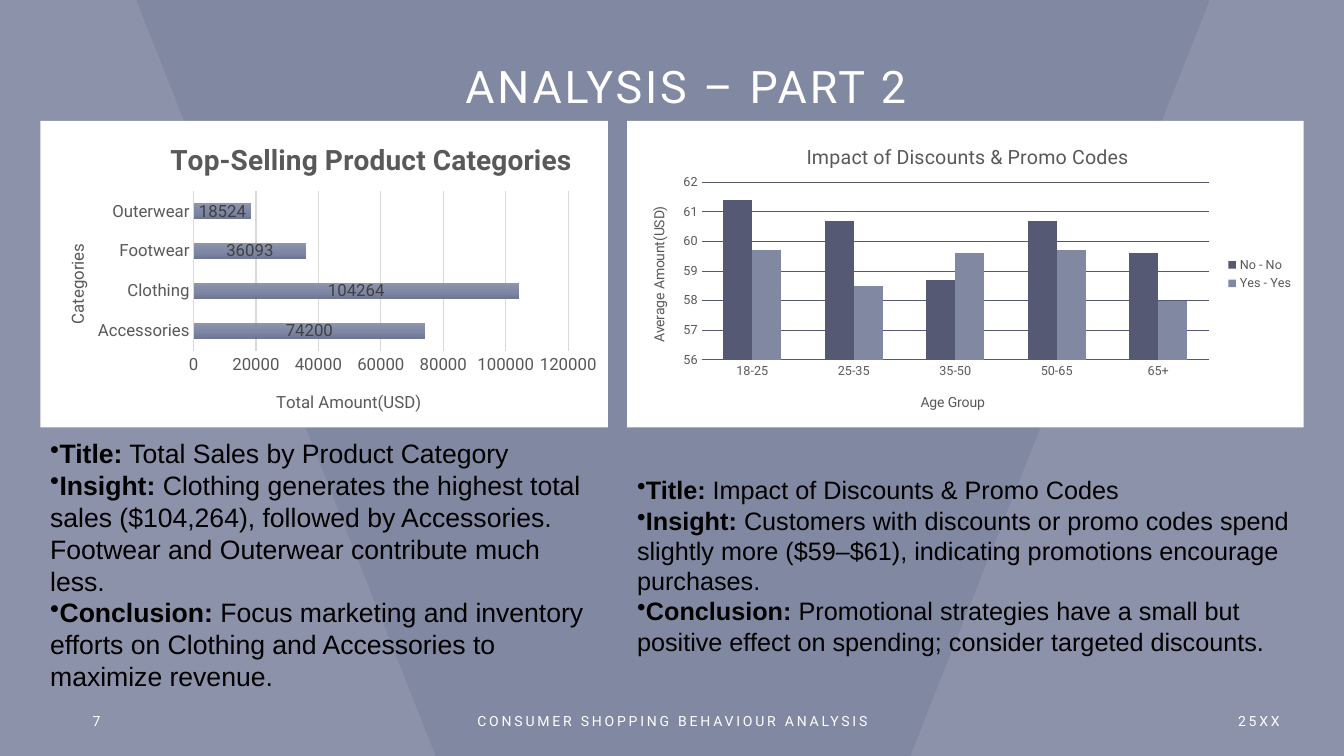
from lxml.etree import fromstring
from pptx import Presentation
from pptx.chart.data import CategoryChartData as Data
from pptx.dml.color import RGBColor as RGB
from pptx.enum.chart import XL_CHART_TYPE as Kind
from pptx.enum.chart import XL_LABEL_POSITION as Spot
from pptx.enum.chart import XL_LEGEND_POSITION as Side
from pptx.enum.chart import XL_TICK_MARK as Tick
from pptx.enum.text import MSO_ANCHOR as Anchor
from pptx.enum.text import MSO_AUTO_SIZE as Auto
from pptx.enum.text import PP_ALIGN as Align
from pptx.oxml.ns import qn
from pptx.util import Inches, Pt

HUES = {"base": "8189A2", "pale": "E6E7EC", "white": "FFFFFF", "black": "000000",
        "gray": "595959", "dark": "404040", "rule": "D9D9D9", "navy": "555973"}
SHADE = ((0, "8F96AC"), (50, "7F88A4"), (100, "6F7893"))
NS = ('xmlns:a="http://schemas.openxmlformats.org/drawingml/2006/main" '
      'xmlns:c="http://schemas.openxmlformats.org/drawingml/2006/chart"')


def hue(name):
    """Give the named colour."""
    return RGB.from_string(HUES[name])


def place(spot, inner=False):
    """Make a chart layout from fractions of the chart's size."""
    tags = '<c:layoutTarget val="inner"/>' if inner else ""
    tags += '<c:xMode val="edge"/><c:yMode val="edge"/>'
    tags += "".join(f'<c:{tag} val="{val}"/>' for tag, val in zip("xywh", spot))
    return fromstring(f"<c:layout {NS}><c:manualLayout>{tags}</c:manualLayout></c:layout>")


class Deck:
    """Hold the style and the current slide."""

    def __init__(self):
        self.file = Presentation()
        self.file.slide_width, self.file.slide_height = Inches(13.33), Inches(7.5)
        self.slide = self.file.slides.add_slide(self.file.slide_layouts[6])
        self.slide.background.fill.solid()
        self.slide.background.fill.fore_color.rgb = hue("base")
        self.face = "Roboto"

    def font(self, font, size, color, bold=None, face=None):
        """Style a font."""
        font.size, font.name, font.bold = Pt(size), face or self.face, bold
        font.color.rgb = hue(color)

    def band(self, dots):
        """Draw a see-through slanted band."""
        first, *rest = [(Inches(x), Inches(y)) for x, y in dots]
        form = self.slide.shapes.build_freeform(*first)
        form.add_line_segments(rest, close=True)
        shape = form.convert_to_shape()
        shape.shadow.inherit = False
        shape.line.fill.background()
        shape.fill.solid()
        shape.fill.fore_color.rgb = hue("pale")
        tint = shape.fill._xPr.find(".//" + qn("a:srgbClr"))
        tint.append(fromstring(f'<a:alpha {NS} val="10000"/>'))

    def frame(self, box):
        """Add an empty wrapped text box."""
        text = self.slide.shapes.add_textbox(*map(Inches, box)).text_frame
        text.word_wrap, text.vertical_anchor = True, Anchor.MIDDLE
        return text

    def label(self, box, words, size=10, align=Align.CENTER, lead=None):
        """Add a spaced-out line of white text."""
        para = self.frame(box).paragraphs[0]
        para.text, para.alignment = words, align
        if lead:
            para.line_spacing = lead
        self.font(para.font, size, "white")
        para.font._element.set("spc", "200")

    def notes(self, box, size, items):
        """Add bulleted text with bold lead words."""
        text = self.frame(box)
        text.auto_size = Auto.SHAPE_TO_FIT_TEXT
        for num, (head, body) in enumerate(items):
            para = text.add_paragraph() if num else text.paragraphs[0]
            para._p.get_or_add_pPr().append(fromstring(f'<a:buChar {NS} char="•"/>'))
            self.font(para.font, size, "black", face="Arial")
            for words, bold in ((head + ":", True), (" " + body, False)):
                run = para.add_run()
                run.text, run.font.bold = words, bold

    def title(self, owner, words, size, spot, bold=False, turn=False):
        """Fill and place the title of a chart or an axis."""
        text = owner.text_frame
        para = text.paragraphs[0]
        para.text = words
        self.font(para.font, size, "gray", bold)
        if turn:
            text._txBody.bodyPr.set("rot", "-5400000")
        root = owner._element
        for old in root.findall(qn("c:layout")):
            root.remove(old)
        root.find(qn("c:tx")).addnext(place(spot))

    def chart(self, box, kind, cats, rows, plot, size, scale, grid):
        """Add a chart on white with a fixed plot area."""
        data = Data()
        data.categories = cats
        for name, vals in rows:
            data.add_series(name, vals)
        chart = self.slide.shapes.add_chart(kind, *map(Inches, box), data).chart
        self.font(chart.font, 10, "black")
        chart.has_legend = False
        root = chart._chartSpace
        root.find(qn("c:chart")).addnext(fromstring(
            f'<c:spPr {NS}><a:solidFill><a:srgbClr val="{HUES["white"]}"/></a:solidFill>'
            "<a:ln><a:noFill/></a:ln></c:spPr>"))
        area = root.find(".//" + qn("c:plotArea"))
        for old in area.findall(qn("c:layout")):
            area.remove(old)
        area.insert(0, place(plot, True))
        chart.plots[0].gap_width = 150
        chart.plots[0].vary_by_categories = False
        for axis in (chart.category_axis, chart.value_axis):
            axis.major_tick_mark = axis.minor_tick_mark = Tick.NONE
            self.font(axis.tick_labels.font, size, "gray")
            axis.format.line.fill.background()
        axis.minimum_scale, axis.maximum_scale, axis.major_unit = scale
        axis.tick_labels.number_format = "0"
        axis.tick_labels.number_format_is_linked = False
        line = axis.major_gridlines.format.line
        line.color.rgb, line.width = hue(grid), Pt(0.75)
        return chart

    def sales(self):
        """Add the chart of sales by category."""
        chart = self.chart(
            (0.4, 1.2, 5.63, 3.04), Kind.BAR_STACKED,
            ("Accessories", "Clothing", "Footwear", "Outerwear"),
            [("Series 1", (74200, 104264, 36093, 18524))],
            (0.27, 0.23, 0.66, 0.52), 12, (0, 120000, 20000), "rule")
        self.title(chart.chart_title, "Top-Selling Product Categories", 20, (0.22, 0.05), True)
        self.title(chart.category_axis.axis_title, "Categories", 12, (0.04, 0.39), turn=True)
        self.title(chart.value_axis.axis_title, "Total Amount(USD)", 12, (0.41, 0.87))
        line = chart.category_axis.format.line
        line.color.rgb, line.width = hue("rule"), Pt(1)
        plot = chart.plots[0]
        plot.overlap = 100
        stops = "".join(f'<a:gs pos="{pos * 1000}"><a:srgbClr val="{code}"/></a:gs>'
                        for pos, code in SHADE)
        plot.series[0].format.fill._xPr.insert(0, fromstring(
            f'<a:gradFill {NS}><a:gsLst>{stops}</a:gsLst><a:lin ang="5400000"/></a:gradFill>'))
        tags = plot.series[0].data_labels
        tags.show_value, tags.position = True, Spot.CENTER
        tags.number_format, tags.number_format_is_linked = "0", False
        self.font(tags.font, 12, "dark")

    def promo(self):
        """Add the chart of spending by age group."""
        chart = self.chart(
            (6.22, 1.2, 6.71, 3.04), Kind.COLUMN_CLUSTERED,
            ("18-25", "25-35", "35-50", "50-65", "65+"),
            [("No - No", (61.4, 60.7, 58.7, 60.7, 59.6)),
             ("Yes - Yes", (59.7, 58.5, 59.6, 59.7, 58))],
            (0.11, 0.2, 0.75, 0.58), 9, (56, 62, 1), "navy")
        self.title(chart.chart_title, "Impact of Discounts & Promo Codes", 14, (0.26, 0.06))
        self.title(chart.category_axis.axis_title, "Age Group", 10, (0.43, 0.88))
        self.title(chart.value_axis.axis_title, "Average Amount(USD)", 10, (0.03, 0.27), turn=True)
        chart.plots[0].overlap = 0
        for row, name in zip(chart.plots[0].series, ("navy", "base")):
            row.format.fill.solid()
            row.format.fill.fore_color.rgb = hue(name)
        chart.has_legend = True
        chart.legend.position = Side.RIGHT
        chart.legend.include_in_layout = False
        self.font(chart.legend.font, 9, "gray")


def main():
    """Build the slide."""
    deck = Deck()
    deck.band(((0, 0), (0, 7.5), (4.32, 7.5), (1.35, 0)))
    deck.band(((12, 0), (9.03, 7.5), (13.33, 7.5), (13.33, 0)))
    deck.label((0.82, 0.57, 11.97, 0.63), "ANALYSIS – PART 2", 32, lead=0.9)
    deck.label((0.82, 6.95, 3, 0.4), "7", align=Align.LEFT)
    deck.label((4.42, 6.95, 4.5, 0.4), "CONSUMER SHOPPING BEHAVIOUR ANALYSIS")
    deck.label((9.79, 6.95, 3, 0.4), "25XX", align=Align.RIGHT)
    deck.sales()
    deck.promo()
    deck.notes((0.4, 4.27, 5.63, 2.66), 19, (
        ("Title", "Total Sales by Product Category"),
        ("Insight", "Clothing generates the highest total sales ($104,264), followed by "
         "Accessories. Footwear and Outerwear contribute much less."),
        ("Conclusion", "Focus marketing and inventory efforts on Clothing and Accessories "
         "to maximize revenue.")))
    deck.notes((6.22, 4.65, 6.71, 1.92), 18, (
        ("Title", "Impact of Discounts & Promo Codes"),
        ("Insight", "Customers with discounts or promo codes spend slightly more "
         "($59–$61), indicating promotions encourage purchases."),
        ("Conclusion", "Promotional strategies have a small but positive effect on "
         "spending; consider targeted discounts.")))
    deck.file.save("out.pptx")


if __name__ == "__main__":
    main()
